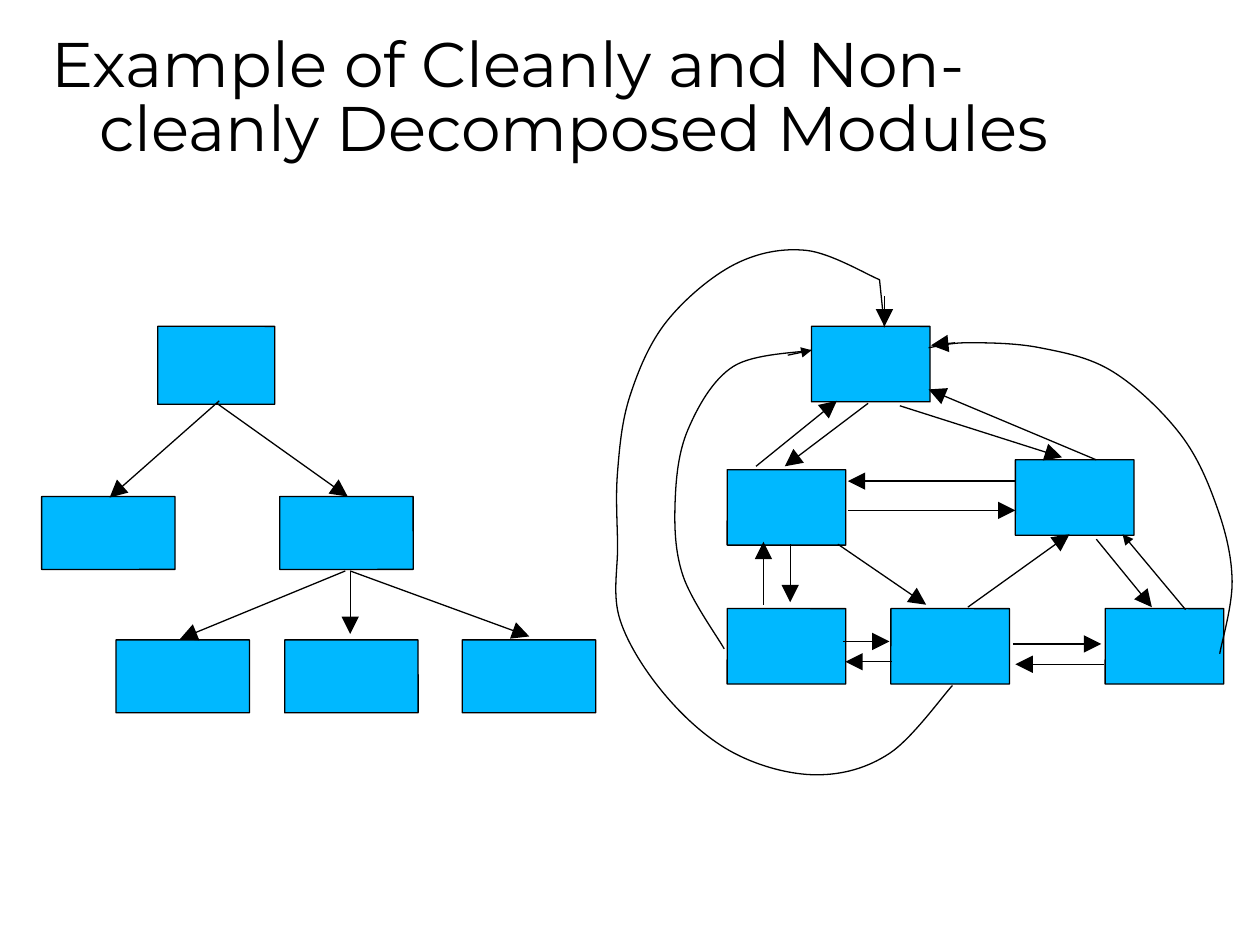
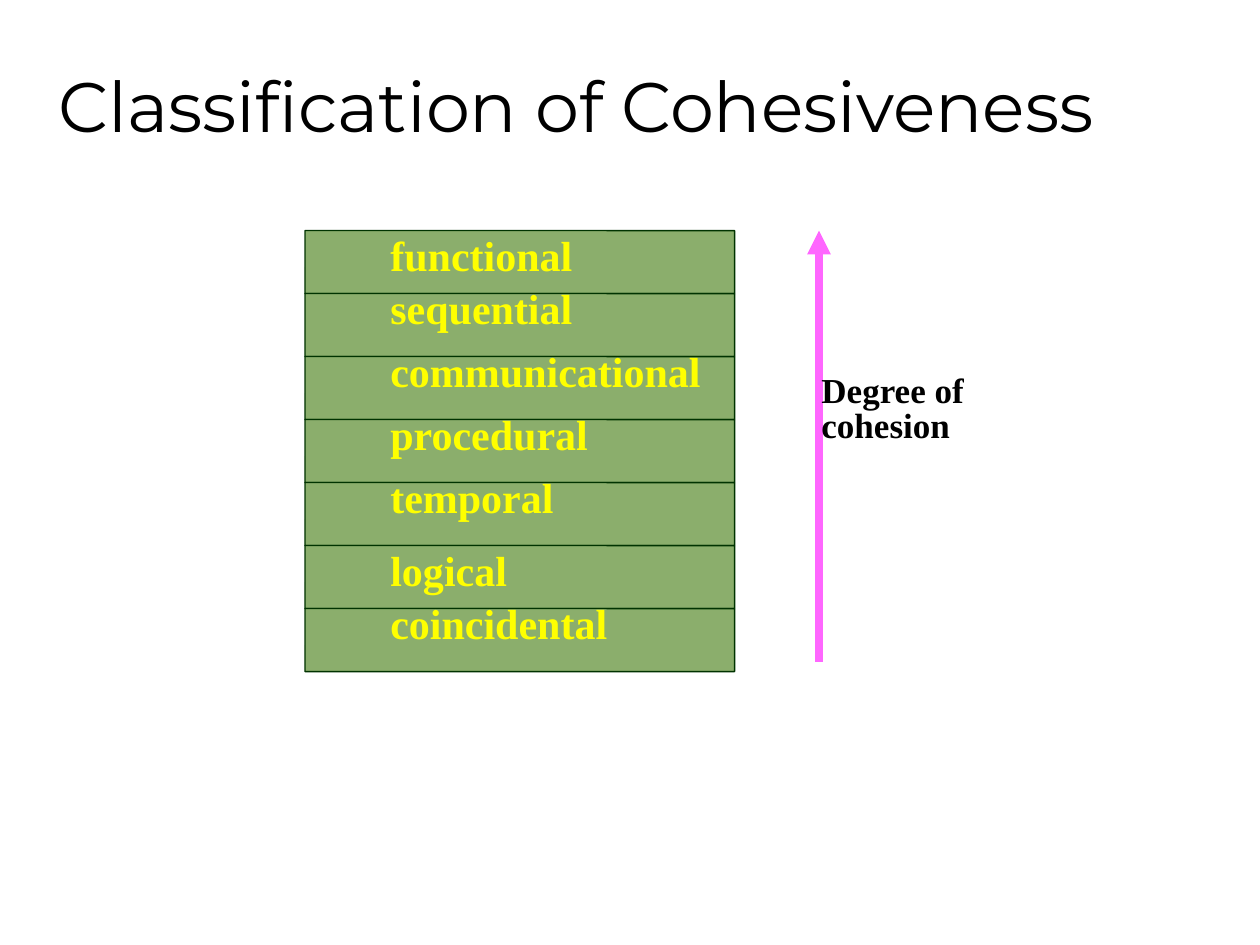
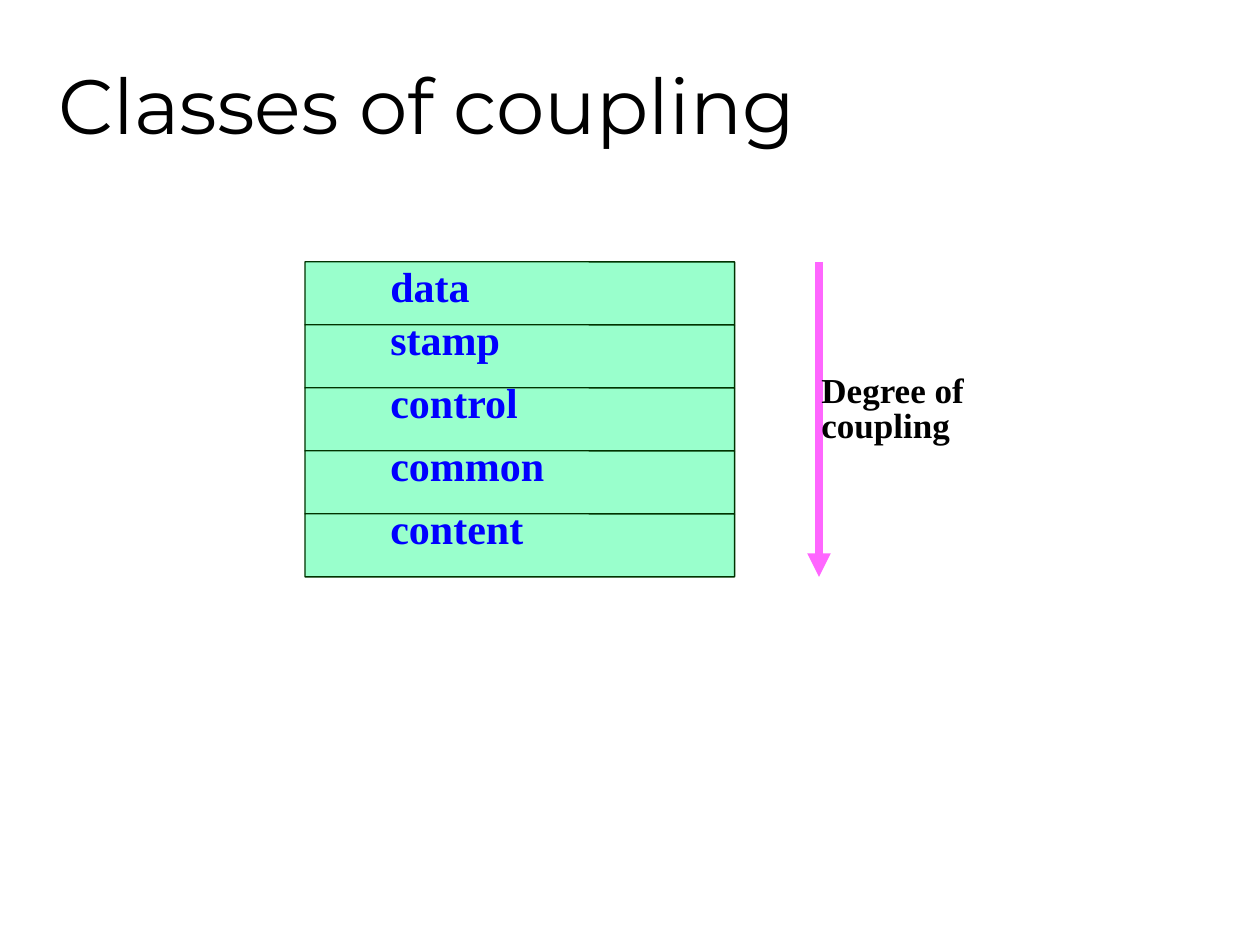
from lxml import etree
from pptx import Presentation
from pptx.dml.color import RGBColor
from pptx.enum.shapes import MSO_CONNECTOR, MSO_SHAPE
from pptx.enum.text import MSO_ANCHOR, MSO_AUTO_SIZE, PP_ALIGN
from pptx.oxml.ns import qn
from pptx.util import Cm, Pt

BLACK = RGBColor(0x00, 0x00, 0x00)
MODULE_BLUE = RGBColor(0x00, 0xB8, 0xFF)
DARK_GREEN = RGBColor(0x00, 0x33, 0x00)
OLIVE = RGBColor(0x8B, 0xAE, 0x6C)
MINT = RGBColor(0x99, 0xFF, 0xCC)
YELLOW = RGBColor(0xFF, 0xFF, 0x00)
BLUE = RGBColor(0x00, 0x00, 0xFF)
PINK = RGBColor(0xFF, 0x66, 0xFF)

ROUNDED = MSO_SHAPE.ROUNDED_RECTANGLE
STRAIGHT = MSO_CONNECTOR.STRAIGHT
LEFT = PP_ALIGN.LEFT
TOP, MIDDLE = MSO_ANCHOR.TOP, MSO_ANCHOR.MIDDLE
NO_FIT = MSO_AUTO_SIZE.NONE

TITLE_FONT = "Montserrat"
BODY_FONT = "Times New Roman"
TITLE_ONLY = 5
THIN = 0.75
INSETS = (0.05, 0.13)
BAND_LEFT, BAND_WIDTH, BAND_HEIGHT = 6.15, 8.66, 1.27
LABEL_LEFT, LABEL_WIDTH = 7.82, 7.39
LABEL_RAISE = 0.2
SCALE_X = 16.51


class Deck:
    def __init__(self):
        self.prs = Presentation()
        self.prs.slide_width = Cm(25.4)
        self.prs.slide_height = Cm(19.05)
        self.s = None

    def slide(self, title, size, left=1.12, top=0.64, insets=INSETS, before=10):
        self.s = self.prs.slides.add_slide(self.prs.slide_layouts[TITLE_ONLY])
        sp = self.s.shapes.title
        sp.left, sp.top, sp.width, sp.height = Cm(left), Cm(top), Cm(21.59), Cm(3.18)
        p = self.fill_text(sp, title, size, TITLE_FONT, BLACK, False, before, insets, MIDDLE)
        p_pr = p._p.get_or_add_pPr()
        p_pr.set("marL", str(Cm(0.97)))
        p_pr.set("indent", str(-Cm(0.97)))

    def fill_text(self, sp, text, size, font, color, bold, before, insets, anchor):
        tf = sp.text_frame
        tf.word_wrap = True
        tf.auto_size = NO_FIT
        tf.vertical_anchor = anchor
        tf.margin_left = tf.margin_right = Cm(insets[0])
        tf.margin_top = tf.margin_bottom = Cm(insets[1])
        p = tf.paragraphs[0]
        p.text = text
        p.alignment = LEFT
        p.line_spacing = 0.85
        p.space_before = Pt(before)
        p.font.name = font
        p.font.size = Pt(size)
        p.font.bold = bold
        p.font.color.rgb = color
        return p

    def text(self, text, left, top, width, height, size, color, before):
        sp = self.s.shapes.add_textbox(Cm(left), Cm(top), Cm(width), Cm(height))
        self.fill_text(sp, text, size, BODY_FONT, color, True, before, INSETS, TOP)

    def box(self, left, top, width, height, fill=MODULE_BLUE, line=BLACK):
        sp = self.s.shapes.add_shape(ROUNDED, Cm(left), Cm(top), Cm(width), Cm(height))
        sp.adjustments[0] = 0.003
        sp.shadow.inherit = False
        sp.fill.solid()
        sp.fill.fore_color.rgb = fill
        sp.line.color.rgb = line
        sp.line.width = Pt(THIN)

    def arrow(self, x1, y1, x2, y2, color=BLACK, width=THIN, head="lg"):
        c = self.s.shapes.add_connector(STRAIGHT, Cm(x1), Cm(y1), Cm(x2), Cm(y2))
        c.line.color.rgb = color
        c.line.width = Pt(width)
        sp_pr = c._element.spPr
        etree.SubElement(sp_pr.find(qn("a:ln")), qn("a:tailEnd"),
                         type="triangle", w=head, len=head)
        etree.SubElement(sp_pr, qn("a:effectLst"))

    def curve(self, anchors, straight_end=()):
        padded = [anchors[0], *anchors, anchors[-1]]
        points = []
        for a, b, c, d in zip(padded, padded[1:], padded[2:], padded[3:]):
            points.append([q + (r - o) / 6 for o, q, r in zip(a, b, c)])
            points.append([r - (t - q) / 6 for q, r, t in zip(b, c, d)])
            points.append(c)
        curved = len(points)
        start, *rest = [(Cm(x), Cm(y)) for x, y in [anchors[0], *points, *straight_end]]
        builder = self.s.shapes.build_freeform(*start)
        builder.add_line_segments(rest, close=False)
        sp = builder.convert_to_shape()
        segments = list(sp._element.iter(qn("a:lnTo")))[:curved]
        for i in range(0, curved, 3):
            bezier = etree.Element(qn("a:cubicBezTo"))
            segments[i].addprevious(bezier)
            for segment in segments[i:i + 3]:
                bezier.append(segment[0])
                segment.getparent().remove(segment)
        sp.shadow.inherit = False
        sp.fill.background()
        sp.line.color.rgb = BLACK
        sp.line.width = Pt(THIN)

    def ladder(self, top, labels, fill, color, level=()):
        tops = [top + i * BAND_HEIGHT for i in range(len(labels))]
        for y in tops:
            self.box(BAND_LEFT, y, BAND_WIDTH, BAND_HEIGHT, fill, DARK_GREEN)
        for label, y in zip(labels, tops):
            raised = 0 if label in level else LABEL_RAISE
            self.text(label, LABEL_LEFT, y - raised, LABEL_WIDTH, BAND_HEIGHT, 24, color, 13.8)

    def degree(self, quality, start, end):
        self.arrow(SCALE_X, start, SCALE_X, end, PINK, 4.5, "med")
        self.text("Degree of \v" + quality, SCALE_X, 7.42, LABEL_WIDTH, 1.96, 20, BLACK, 11.5)


def modules_slide(deck):
    deck.slide("Example of Cleanly and Non-cleanly Decomposed Modules", 36,
               1.04, 0.43, (0, 0), 0)

    deck.box(3.18, 6.58, 2.36, 1.57)
    for x, y in [(0.84, 10.01), (5.64, 10.01), (2.34, 12.9), (5.74, 12.9), (9.32, 12.9)]:
        deck.box(x, y, 2.69, 1.47)
    for x, y in [(16.36, 6.58), (20.47, 9.27), (14.66, 9.47),
                 (14.66, 12.27), (17.96, 12.27), (22.28, 12.27)]:
        deck.box(x, y, 2.39, 1.52)

    tree_arrows = [
        (4.42, 8.08, 2.21, 10.03), (4.37, 8.13, 7.01, 10.01),
        (6.96, 11.51, 3.63, 12.88), (7.06, 11.51, 7.06, 12.78),
        (7.06, 11.51, 10.67, 12.83),
    ]
    tangle_arrows = [
        (17.5, 8.13, 15.82, 9.4), (15.24, 9.4, 16.87, 8.08),
        (18.14, 8.18, 21.41, 9.22), (22.1, 9.27, 18.72, 7.85),
        (17.09, 10.29, 20.47, 10.29), (20.47, 9.7, 17.09, 9.7),
        (15.93, 10.97, 15.93, 12.14), (15.39, 12.19, 15.39, 10.92),
        (16.89, 10.97, 18.67, 12.19), (19.51, 12.24, 21.56, 10.77),
        (22.1, 10.87, 23.22, 12.24),
        (16.99, 12.93, 17.93, 12.93), (17.98, 13.34, 17.04, 13.34),
        (20.42, 12.98, 22.2, 12.98), (22.25, 13.39, 20.47, 13.39),
        (19.25, 6.91, 18.77, 6.96), (17.83, 5.97, 17.83, 6.58),
    ]
    for ends in tree_arrows + tangle_arrows:
        deck.arrow(*ends)
    for ends in [(23.9, 12.29, 22.63, 10.77), (15.88, 7.16, 16.36, 7.06)]:
        deck.arrow(*ends, head="med")

    deck.curve([(14.6, 13.08), (13.77, 11.61), (13.61, 10.13), (13.87, 8.66),
                (14.78, 7.39), (16.36, 7.06)])
    deck.curve([(24.59, 13.18), (24.84, 11.71), (24.54, 10.24), (23.8, 8.76),
                (22.43, 7.49), (20.96, 7.01), (19.51, 6.91), (18.72, 7.01)])
    deck.curve([(19.2, 13.82), (17.93, 15.19), (16.46, 15.62), (14.81, 15.19),
                (13.44, 14.05), (12.5, 12.5), (12.45, 10.97), (12.45, 9.5),
                (12.7, 7.98), (13.44, 6.48), (14.81, 5.33), (16.26, 5.05),
                (17.73, 5.64)], [(17.83, 6.6)])


def cohesion_slide(deck):
    deck.slide("Classification of Cohesiveness", 40)
    deck.ladder(4.65, ["functional", "sequential", "communicational", "procedural",
                       "temporal", "logical", "coincidental"],
                OLIVE, YELLOW, level=("functional", "logical"))
    deck.degree("cohesion", 13.34, 4.65)


def coupling_slide(deck):
    deck.slide("Classes of coupling", 44)
    deck.ladder(5.28, ["data", "stamp", "control", "common", "content"],
                MINT, BLUE, level=("data",))
    deck.degree("coupling", 5.28, 11.63)


def main():
    deck = Deck()
    modules_slide(deck)
    cohesion_slide(deck)
    coupling_slide(deck)
    deck.prs.save("out.pptx")


if __name__ == "__main__":
    main()
